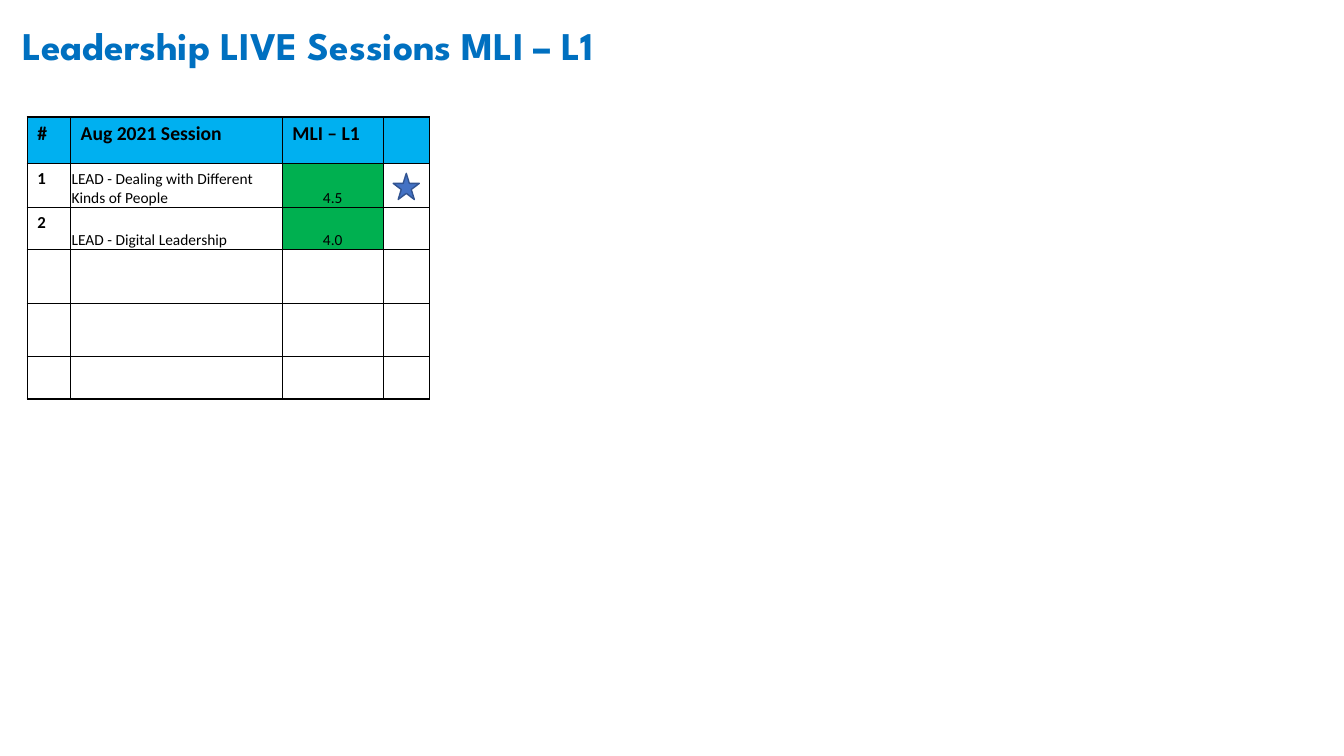
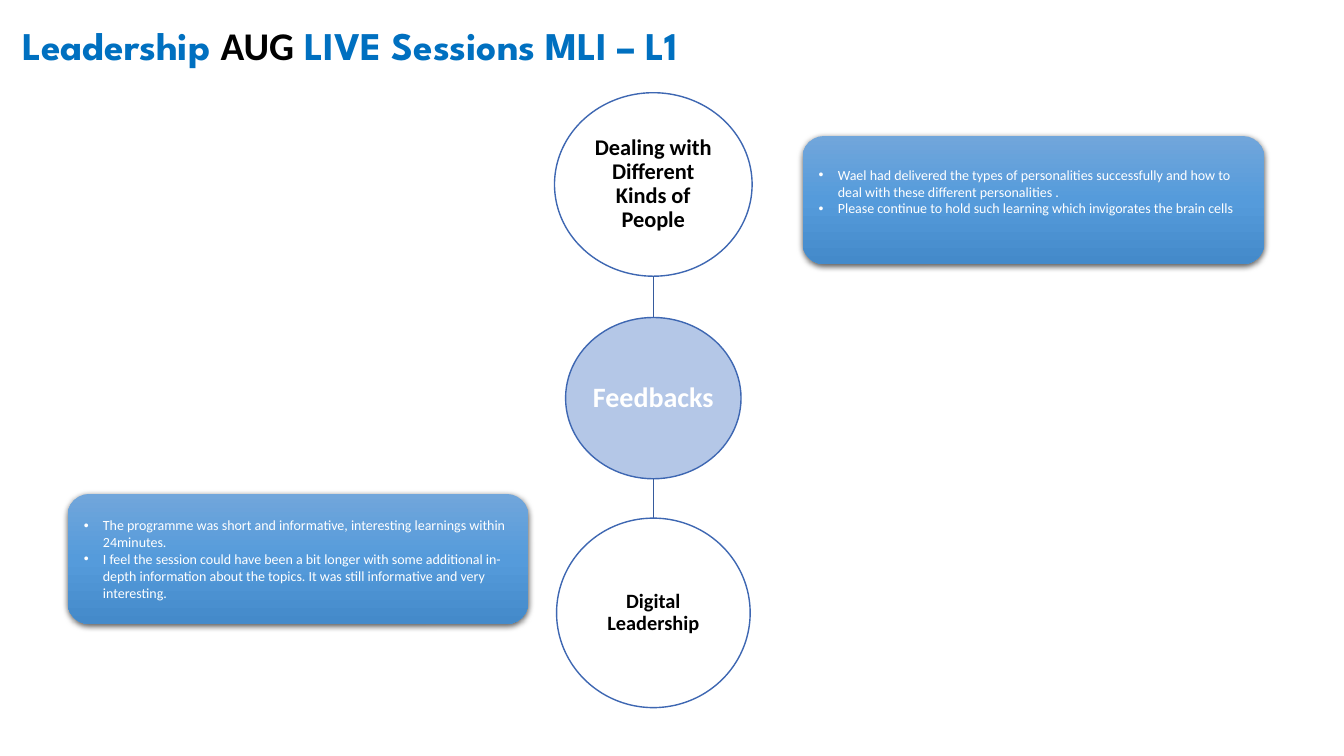
import copy
from dataclasses import dataclass

import lxml.etree
import pptx
import pptx.dml.color
import pptx.enum.shapes
import pptx.enum.text
import pptx.oxml.ns
import pptx.util

Inches = pptx.util.Inches
Pt = pptx.util.Pt
qn = pptx.oxml.ns.qn
Shape = pptx.enum.shapes.MSO_SHAPE
Anchor = pptx.enum.text.MSO_ANCHOR
Align = pptx.enum.text.PP_ALIGN


@dataclass(frozen=True)
class Theme:
    body: str = "Calibri"
    display: str = "League Spartan"
    title: str = "0070C0"
    black: str = "000000"
    white: str = "FFFFFF"
    head: str = "00B0F0"
    score: str = "00B050"
    star: str = "4472C4"
    edge: str = "325491"
    ring: str = "3E67B2"
    link: str = "365B9D"
    hub: str = "B4C7E7"
    card: tuple = ((0, "71A6DB"), (0.5, "559BDB"), (1, "448ACA"))
    big: float = 28
    hubsize: float = 20
    topic: float = 16
    small: float = 14.5
    header: float = 14
    index: float = 12
    cell: float = 11
    note: float = 10


THEME = Theme()


def rgb(code):
    return pptx.dml.color.RGBColor.from_string(code)


def style(run, size, color, bold=False, face=THEME.body):
    run.font.size = Pt(size)
    run.font.name = face
    run.font.bold = bold
    run.font.color.rgb = rgb(color)


def add_node(parent, tag, **attrs):
    return lxml.etree.SubElement(parent, qn(tag), attrs)


def pad(target, *sides):
    names = ("margin_left", "margin_top", "margin_right", "margin_bottom")
    for name, side in zip(names, sides):
        setattr(target, name, Inches(side))


def add_shape(slide, kind, box, fill, line):
    shape = slide.shapes.add_shape(kind, *map(Inches, box))
    shape.shadow.inherit = False
    shape.fill.solid()
    shape.fill.fore_color.rgb = rgb(fill)
    shape.line.color.rgb = rgb(line)
    shape.line.width = Pt(1)
    return shape


def add_title(slide, box, parts):
    title = slide.shapes.title
    title.left, title.top, title.width, title.height = map(Inches, box)
    frame = title.text_frame
    frame.word_wrap = False
    frame.auto_size = pptx.enum.text.MSO_AUTO_SIZE.SHAPE_TO_FIT_TEXT
    frame.vertical_anchor = Anchor.TOP
    para = frame.paragraphs[0]
    para.alignment = Align.LEFT
    for text, color, face in parts:
        run = para.add_run()
        run.text = text
        style(run, THEME.big, color, True, face)


def add_borders(cell):
    props = cell._tc.get_or_add_tcPr()
    for place, side in enumerate(("a:lnL", "a:lnR", "a:lnT", "a:lnB")):
        line = add_node(props, side, w=str(Pt(1)))
        fill = add_node(line, "a:solidFill")
        add_node(fill, "a:srgbClr", val=THEME.black)
        props.insert(place, line)


def fill_cell(cell, text, row, col):
    color = THEME.head if row == 0 else THEME.score if text and col == 2 else None
    if color:
        cell.fill.solid()
        cell.fill.fore_color.rgb = rgb(color)
    else:
        cell.fill.background()
    add_borders(cell)
    if not text:
        return
    cell.text = text
    para = cell.text_frame.paragraphs[0]
    size = THEME.header if row == 0 else THEME.index
    plain = row > 0 and col > 0
    if plain:
        size = THEME.cell
        cell.vertical_anchor = Anchor.BOTTOM
        pad(cell, 0.01, 0.01, 0.01, 0)
        if col == 2:
            para.alignment = Align.CENTER
    style(para.runs[0], size, THEME.black, not plain)


def add_scores(slide, left, top, rows):
    widths = (0.43, 2.1, 1, 0.46)
    heights = (0.46, 0.44, 0.42, 0.53, 0.53, 0.42)
    box = (left, top, sum(widths), sum(heights))
    table = slide.shapes.add_table(
        len(heights), len(widths), *map(Inches, box)
    ).table
    for column, width in zip(table.columns, widths):
        column.width = Inches(width)
    for row, height in enumerate(heights):
        table.rows[row].height = Inches(height)
        texts = rows[row] if row < len(rows) else ()
        for col in range(len(widths)):
            text = texts[col] if col < len(texts) else ""
            fill_cell(table.cell(row, col), text, row, col)
    side = 0.26
    mark = (left + sum(widths[:3]) + 0.1, top + heights[0] + 0.1, side, side)
    add_shape(slide, Shape.STAR_5_POINT, mark, THEME.star, THEME.edge)


def add_circle(slide, box, text, fill, color, size):
    circle = add_shape(slide, Shape.OVAL, box, fill, THEME.ring)
    frame = circle.text_frame
    frame.word_wrap = True
    frame.vertical_anchor = Anchor.MIDDLE
    pad(frame, 0.01, 0.01, 0.01, 0.01)
    frame.text = text
    para = frame.paragraphs[0]
    para.alignment = Align.CENTER
    para.line_spacing = 0.9
    style(para.runs[0], size, color, True)


def add_link(slide, mid, start, end):
    link = slide.shapes.add_connector(
        pptx.enum.shapes.MSO_CONNECTOR.STRAIGHT,
        *map(Inches, (mid, start, mid, end)),
    )
    link.line.color.rgb = rgb(THEME.link)
    link.line.width = Pt(1)
    add_node(link.element.spPr, "a:effectLst")


def add_chain(slide, mid, top, circles):
    end = None
    for gap, width, height, *look in circles:
        if end is not None:
            top = end + gap
            add_link(slide, mid, end, top)
        add_circle(slide, (mid - width / 2, top, width, height), *look)
        end = top + height


def add_card(slide, box, notes, low=0.05):
    card = add_shape(slide, Shape.ROUNDED_RECTANGLE, box, THEME.hub, THEME.ring)
    card.line.fill.background()
    card.fill.gradient()
    card.fill.gradient_angle = 270
    stops = card.element.spPr.find(".//" + qn("a:gsLst"))
    stops.append(copy.deepcopy(stops[-1]))
    for stop, (place, color) in zip(card.fill.gradient_stops, THEME.card):
        stop.position = place
        stop.color.rgb = rgb(color)
    effects = card.element.spPr.find(qn("a:effectLst"))
    shadow = add_node(
        effects, "a:outerShdw", blurRad=str(Pt(4.5)), dist=str(Pt(1.5)),
        dir="5400000", algn="ctr", rotWithShape="0",
    )
    tint = add_node(shadow, "a:srgbClr", val=THEME.black)
    add_node(tint, "a:alpha", val="63000")
    frame = card.text_frame
    frame.word_wrap = True
    frame.vertical_anchor = Anchor.MIDDLE
    pad(frame, 0.1, 0.05, 0.1, low)
    frame.text = "\n".join(notes)
    for para in frame.paragraphs:
        para.alignment = Align.LEFT
        props = para._p.get_or_add_pPr()
        props.set("marL", str(Inches(0.19)))
        props.set("indent", str(Inches(-0.19)))
        add_node(props, "a:buFont", typeface="Arial")
        add_node(props, "a:buChar", char="•")
        style(para.runs[0], THEME.note, THEME.white)


def add_slide(deck, width, parts):
    slide = deck.slides.add_slide(deck.slide_layouts[5])
    add_title(slide, (0.12, 0.16, width, 0.57), parts)
    return slide


def build_scores(deck):
    slide = add_slide(deck, 6.38, (
        ("Leadership LIVE Sessions MLI – L1", THEME.title, THEME.display),
    ))
    add_scores(slide, 0.27, 1.16, (
        ("#", "Aug 2021 Session", "MLI – L1"),
        ("1", "LEAD - Dealing with Different Kinds of People", "4.5"),
        ("2", "LEAD - Digital Leadership", "4.0"),
    ))


def build_notes(deck):
    slide = add_slide(deck, 7.43, (
        ("Leadership ", THEME.title, THEME.display),
        ("AUG", THEME.black, THEME.body),
        (" LIVE Sessions MLI – L1", THEME.title, THEME.display),
    ))
    add_chain(slide, 6.48, 0.92, (
        (0, 1.96, 1.82, "Dealing with Different Kinds of People",
         THEME.white, THEME.black, THEME.topic),
        (0.41, 1.74, 1.6, "Feedbacks", THEME.hub, THEME.white, THEME.hubsize),
        (0.39, 1.92, 1.88, "Digital Leadership",
         THEME.white, THEME.black, THEME.small),
    ))
    add_card(slide, (7.96, 1.35, 4.58, 1.27), (
        "Wael had delivered the types of personalities successfully and how "
        "to deal with these different personalities .",
        "Please continue to hold such learning which invigorates the brain cells",
    ), 0.22)
    add_card(slide, (0.67, 4.9, 4.57, 1.29), (
        "The programme was short and informative, interesting learnings "
        "within 24minutes.",
        "I feel the session could have been a bit longer with some additional "
        "in-depth information about the topics. It was still informative and "
        "very interesting.",
    ))


def main():
    deck = pptx.Presentation()
    deck.slide_width = Inches(13.33)
    deck.slide_height = Inches(7.5)
    build_scores(deck)
    build_notes(deck)
    deck.save("out.pptx")


if __name__ == "__main__":
    main()
